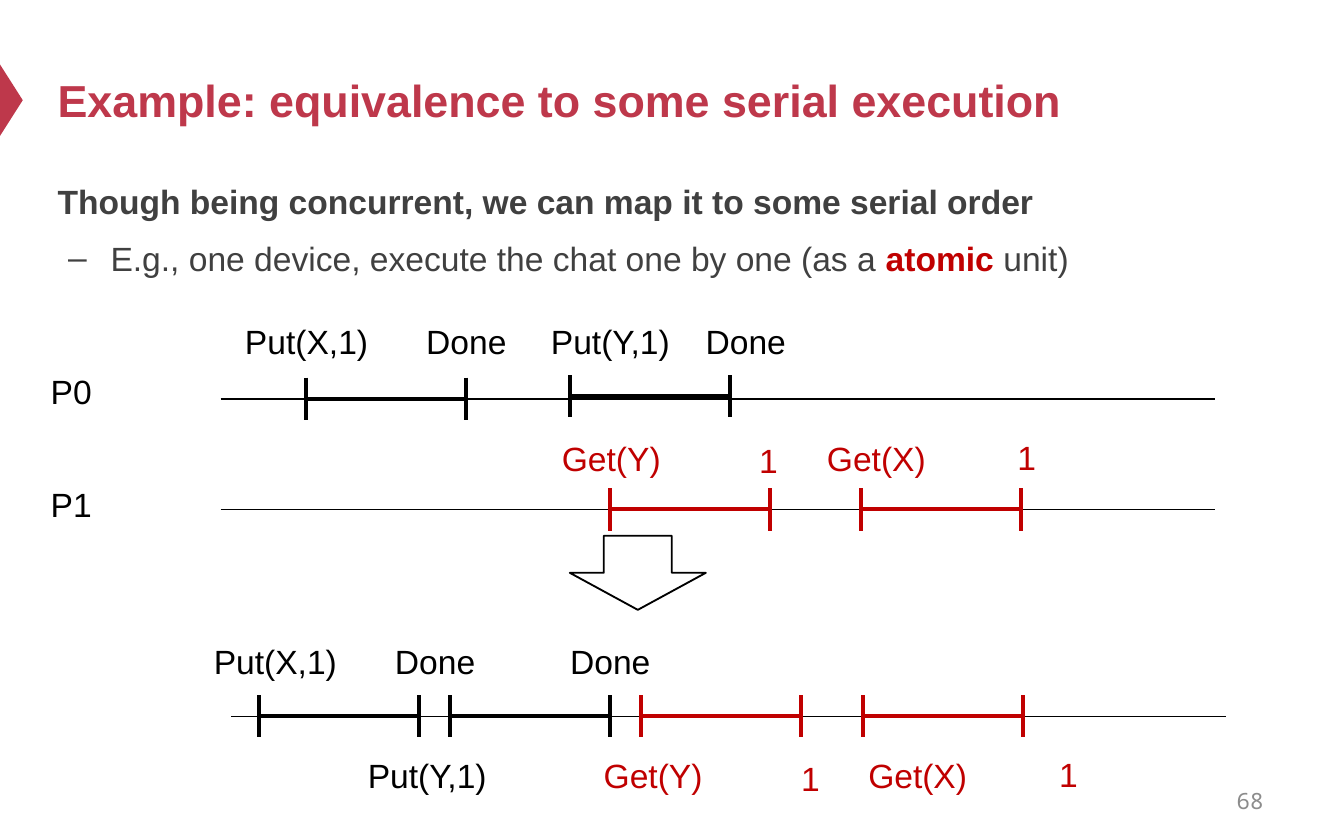
from lxml.etree import SubElement
from pptx import Presentation
from pptx.dml.color import RGBColor
from pptx.enum.shapes import MSO_CONNECTOR as Connector, MSO_SHAPE as Shape
from pptx.enum.text import MSO_ANCHOR as Anchor, PP_ALIGN as Align
from pptx.oxml.ns import qn
from pptx.util import Cm, Pt

COLORS = {"accent": "BE384B", "body": "404040", "black": "000000",
          "red": "C00000", "grey": "8C8C8C"}

TITLE = "Example: equivalence to some serial execution"
HEADLINE = "Though being concurrent, we can map it to some serial order"
EXAMPLE = [("E.g., one device, execute the chat one by one (as a ", "body", False),
           ("atomic", "red", True), (" unit)", "body", False)]
PAGE_NUMBER = "68"

# Lengths in cm. Timelines: left, y
TIMELINES = [(4.17, 7.54), (4.17, 9.63), (4.37, 13.54)]
TIMELINE_LENGTH = 18.8
PROCESSES = [("P0", 6.88), ("P1", 9.02)]

# Operations: start, y, color
OPERATIONS = [
    (5.79, 7.54, "black"), (10.77, 7.49, "black"),
    (11.53, 9.63, "red"), (16.27, 9.63, "red"),
    (4.9, 13.54, "black"), (8.51, 13.54, "black"),
    (12.12, 13.54, "red"), (16.31, 13.54, "red"),
]
OPERATION_LENGTH, TICK_HALF = 3.02, 0.4

# Labels: text, left, top, color
LABELS = [
    ("Put(X,1)", 4.17, 5.94, "black"), ("Done", 7.19, 5.94, "black"),
    ("Put(Y,1)", 9.91, 5.94, "black"), ("Done", 12.47, 5.94, "black"),
    ("Get(Y)", 9.93, 8.15, "red"), ("1", 12.9, 8.2, "red"),
    ("Get(X)", 14.94, 8.15, "red"), ("1", 17.78, 8.13, "red"),
    ("Put(X,1)", 3.58, 11.99, "black"), ("Done", 6.6, 11.99, "black"),
    ("Done", 9.91, 11.99, "black"), ("Put(Y,1)", 6.45, 14.15, "black"),
    ("Get(Y)", 10.72, 14.15, "red"), ("1", 13.69, 14.2, "red"),
    ("Get(X)", 15.72, 14.15, "red"), ("1", 18.57, 14.12, "red"),
]
LABEL_WIDTH, LABEL_HEIGHT = 3.25, 1.02


def color(name):
    return RGBColor.from_string(COLORS[name])


def style(font, color_name, size=18, bold=False, name="Arial"):
    font.name, font.size, font.bold = name, Pt(size), bold
    font.color.rgb = color(color_name)


def add_text(text, left, top, width, height, color_name, align=Align.LEFT,
             anchor=Anchor.TOP, **font_options):
    box = slide.shapes.add_textbox(Cm(left), Cm(top), Cm(width), Cm(height))
    frame = box.text_frame
    frame.word_wrap = True
    frame.vertical_anchor = anchor
    frame.text = text
    paragraph = frame.paragraphs[0]
    paragraph.alignment = align
    style(paragraph.runs[0].font, color_name, **font_options)
    return frame


def add_line(shapes, x1, y1, x2, y2, color_name, width):
    line = shapes.add_connector(Connector.STRAIGHT, Cm(x1), Cm(y1), Cm(x2), Cm(y2))
    line.line.color.rgb = color(color_name)
    line.line.width = Pt(width)
    SubElement(line._element.spPr, qn("a:effectLst"))


def add_operation(start, y, color_name):
    shapes = slide.shapes.add_group_shape().shapes
    end = start + OPERATION_LENGTH
    for x in (start, end):
        add_line(shapes, x, y - TICK_HALF, x, y + TICK_HALF, color_name, 2.25)
    add_line(shapes, start, y, end, y, color_name, 2.25)


presentation = Presentation()
presentation.slide_width, presentation.slide_height = Cm(25.4), Cm(15.88)
slide = presentation.slides.add_slide(presentation.slide_layouts[6])

# Title with its edge marker
marker = slide.shapes.add_shape(Shape.ISOSCELES_TRIANGLE,
                                Cm(-0.46), Cm(1.68), Cm(1.35), Cm(0.43))
marker.rotation = 90
marker.shadow.inherit = False
marker.fill.solid()
marker.fill.fore_color.rgb = color("accent")
marker.line.fill.background()
add_text(TITLE, 0.84, 0.64, 22.86, 2.49, "accent", anchor=Anchor.MIDDLE,
         size=24, bold=True)

# Body text
body = add_text(HEADLINE, 0.84, 3.15, 22.86, 2.59, "body", bold=True)
body.paragraphs[0].line_spacing = 1.2
example = body.add_paragraph()
example.line_spacing = 1.2
example.space_before = Pt(4.5)
properties = example._p.get_or_add_pPr()
properties.set("marL", str(Cm(1)))
properties.set("indent", str(Cm(-0.8)))
SubElement(properties, qn("a:buFont"), typeface="Arial")
SubElement(properties, qn("a:buChar"), char="–")
for text, color_name, bold in EXAMPLE:
    run = example.add_run()
    run.text = text
    style(run.font, color_name, bold=bold)

# Timelines and operations
for left, y in TIMELINES:
    add_line(slide.shapes, left, y, left + TIMELINE_LENGTH, y, "black", 0.75)
for operation in OPERATIONS:
    add_operation(*operation)

# Labels
for text, top in PROCESSES:
    add_text(text, 0.71, top, 1.8, LABEL_HEIGHT, "black")
for text, left, top, color_name in LABELS:
    add_text(text, left, top, LABEL_WIDTH, LABEL_HEIGHT, color_name, Align.CENTER)

# Arrow from the concurrent to the serial execution
arrow = slide.shapes.add_shape(Shape.DOWN_ARROW, Cm(10.77), Cm(10.13), Cm(2.57), Cm(1.4))
arrow.shadow.inherit = False
arrow.fill.background()
arrow.line.color.rgb = color("black")
arrow.line.width = Pt(1)

# Page number
add_text(PAGE_NUMBER, 18.21, 14.71, 5.92, 0.84, "grey", Align.RIGHT, Anchor.MIDDLE,
         size=12, name="Noto Sans Mono")

presentation.save("out.pptx")
